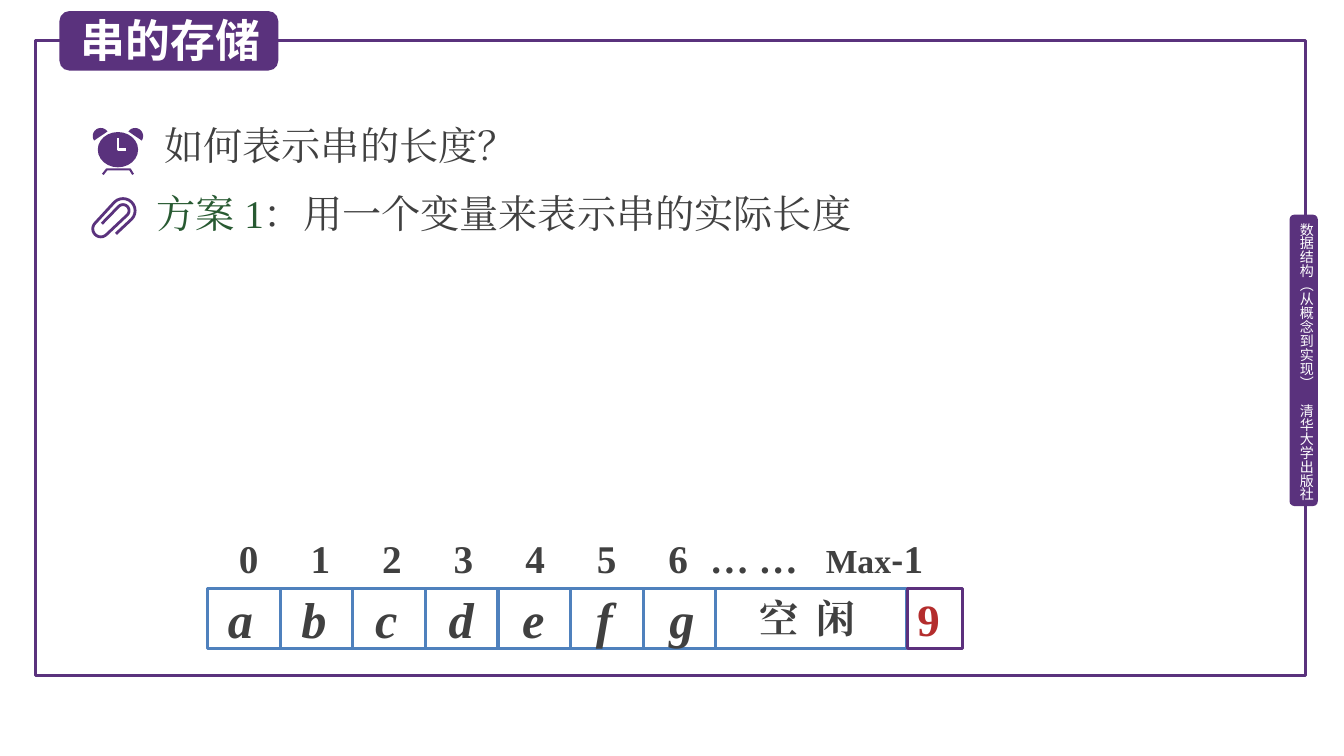
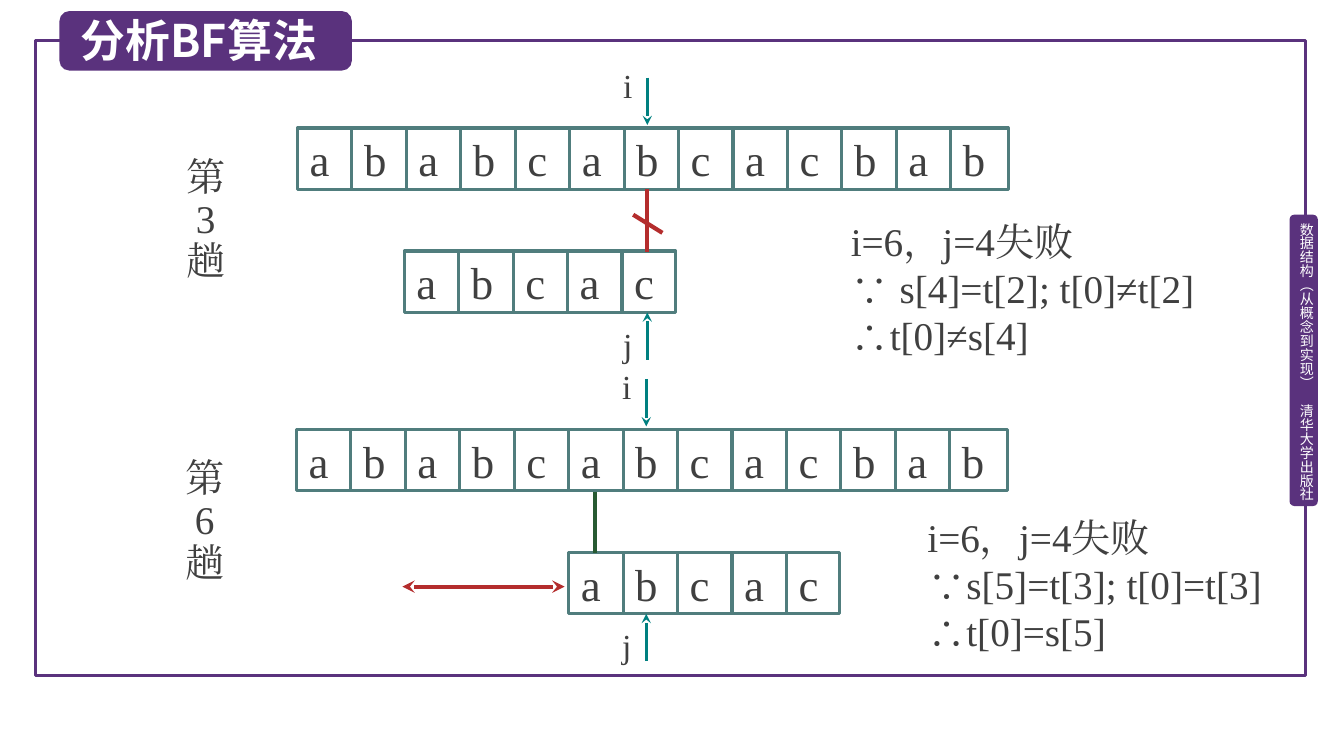
import math

from lxml import etree
from pptx import Presentation
from pptx.dml.color import RGBColor
from pptx.enum import shapes, text
from pptx.oxml import ns
from pptx.util import Inches, Pt

PURPLE, WHITE, GREY = "5A327D", "FFFFFF", "404040"
BLUE, SLATE, TEAL = "4F81BD", "507D7D", "008080"
RED, GREEN = "B42D2D", "285A32"
SANS, SERIF = "Noto Sans CJK SC", "Times New Roman"
LEFT, CENTER = text.PP_ALIGN.LEFT, text.PP_ALIGN.CENTER
TOP, MIDDLE = text.MSO_ANCHOR.TOP, text.MSO_ANCHOR.MIDDLE
TEXT_ROW = ["a", "b", "a", "b", "c", "a", "b", "c", "a", "c", "b", "a", "b"]
PATTERN_ROW = ["a", "b", "c", "a", "c"]


def paint(fill, color):
    """Solid fill from a hex string, or no fill for None."""
    if color is None:
        fill.background()
    else:
        fill.solid()
        fill.fore_color.rgb = RGBColor.from_string(color)


def place(shape, box):
    shape.left, shape.top, shape.width, shape.height = map(Inches, box)


def sub(parent, tag, **attributes):
    return etree.SubElement(parent, ns.qn(tag), **attributes)


def style(run, size, color=GREY, font=SERIF, bold=False, italic=False):
    run.font.size, run.font.name = Pt(size), font
    run.font.bold, run.font.italic = bold, italic
    paint(run.font.fill, color)
    latin = run.font.fill and run._r.rPr.find(ns.qn("a:latin"))
    east = etree.Element(ns.qn("a:ea"), typeface=font)
    latin.addnext(east)


def write(shape, content, size, insets=(0.1, 0.05, 0.1, 0.05), anchor=TOP,
          align=LEFT, wrap=True, tabs=(), spacing=None, **look):
    """Put content in a shape; tabs are stops in inches."""
    frame = shape.text_frame
    frame.word_wrap, frame.vertical_anchor = wrap, anchor
    frame.auto_size = text.MSO_AUTO_SIZE.NONE
    (frame.margin_left, frame.margin_top,
     frame.margin_right, frame.margin_bottom) = map(Inches, insets)
    frame.text = content
    for paragraph, element in zip(frame.paragraphs,
                                  shape.element.iter(ns.qn("a:p"))):
        if tabs:
            stops = sub(element.get_or_add_pPr(), "a:tabLst")
            for stop in tabs:
                sub(stops, "a:tab", pos=str(Inches(stop)), algn="l")
        paragraph.alignment = align
        if spacing:
            paragraph.line_spacing = spacing
        for run in paragraph.runs:
            style(run, size, **look)
    return frame


def note(slide, box, content, size, **options):
    shape = slide.shapes.add_textbox(*map(Inches, box))
    write(shape, content, size, **options)
    return shape


def finish(shape, fill=None, line=None, width=2.25):
    shape.shadow.inherit = False
    paint(shape.fill, fill)
    paint(shape.line.fill, line)
    if line:
        shape.line.width = Pt(width)
    return shape


def block(slide, box, fill=None, line=None, rounded=False):
    kinds = shapes.MSO_SHAPE
    kind = kinds.ROUNDED_RECTANGLE if rounded else kinds.RECTANGLE
    return finish(slide.shapes.add_shape(kind, *map(Inches, box)), fill, line)


def rule(slide, start, end, color, width=2.25, head=False, tail=False):
    line = slide.shapes.add_connector(
        shapes.MSO_CONNECTOR.STRAIGHT, *map(Inches, (*start, *end)))
    paint(line.line.fill, color)
    line.line.width = Pt(width)
    properties = line.element.find(ns.qn("p:spPr"))
    stroke = properties.find(ns.qn("a:ln"))
    for tag, wanted in (("a:headEnd", head), ("a:tailEnd", tail)):
        if wanted:
            sub(stroke, tag, type="stealth")
    sub(properties, "a:effectLst")


def outline(slide, points, closed=False, **look):
    corners = [(Inches(x), Inches(y)) for x, y in points]
    builder = slide.shapes.build_freeform(*corners[0], scale=1.0)
    builder.add_line_segments(corners[1:], close=closed)
    return finish(builder.convert_to_shape(), **look)


def half_circle(x, y, radius, start, turn):
    """Points of a half circle; turn is 1 clockwise, -1 the other way."""
    angles = [math.radians(start + turn * step) for step in range(0, 181, 15)]
    return [(x + radius * math.cos(a), y + radius * math.sin(a))
            for a in angles]


# ---- Shared parts ----
def dress_master(prs, slide):
    """Frame and side tab, built once and moved to the master."""
    frame = block(slide, (0.35, 0.4, 12.6, 6.3), line=PURPLE)
    tab = block(slide, (12.79, 2.13, 0.28, 2.89), fill=PURPLE, rounded=True)
    credit = note(slide, (12.87, 2.21, 0.17, 2.81),
                  "数据结构（从概念到实现）　清华大学出版社", 10,
                  insets=(0, 0, 0, 0), color=WHITE, font=SANS, wrap=False)
    credit.element.find(".//" + ns.qn("a:bodyPr")).set("vert", "eaVert")
    for part in (frame, tab, credit):
        prs.slide_master.shapes.element.append(part.element)


def heading(slide, content, width):
    """Title placeholder on a rounded band."""
    title = slide.shapes.title
    band = block(slide, (0.59, 0.11, width, 0.59), fill=PURPLE, rounded=True)
    title.element.addprevious(band.element)
    place(title, (0.7, 0.07, width - 0.08, 0.64))
    write(title, content, 32, anchor=MIDDLE, wrap=False,
          color=WHITE, font=SANS, bold=True)


def array(slide, left, top, width, height, letters, pitch, color, size,
          inset=0.12, tab_pitch=None, **look):
    """Framed row of cells: letters on tab stops, a divider per cell."""
    step = tab_pitch or pitch
    row = block(slide, (left, top, width, height), line=color)
    write(row, "\t".join(letters), size, insets=(inset, 0, 0, 0),
          anchor=MIDDLE, tabs=[step * n for n in range(1, len(letters))],
          **look)
    cells = round(width / pitch) if len(letters) * pitch > width - pitch \
        else len(letters) + 1
    for n in range(1, cells):
        x = left + pitch * n
        rule(slide, (x, top), (x, top + height), color)


# ---- Storage slide ----
def alarm_clock(slide, left, top):
    for x, start, turn in ((0.08, 146, 1), (0.42, 34, -1)):
        outline(slide, half_circle(left + x, top + 0.08, 0.08, start, turn),
                closed=True, fill=PURPLE)
    face = slide.shapes.add_shape(
        shapes.MSO_SHAPE.OVAL,
        *map(Inches, (left + 0.05, top + 0.04, 0.4, 0.35)))
    finish(face, fill=PURPLE)
    hands = [(0.25, 0.1), (0.25, 0.21), (0.33, 0.21)]
    feet = [(0.1, 0.46), (0.14, 0.41), (0.37, 0.41), (0.4, 0.46)]
    for points, color in ((hands, WHITE), (feet, PURPLE)):
        outline(slide, [(left + x, top + y) for x, y in points],
                line=color, width=2 if color == WHITE else 1.5)


def paper_clip(slide, left, top):
    wire = [(left + 0.25, top + 0.36)]
    for x, y, radius, start in ((0.32, 0.13, 0.12, 45),
                                (0.1, 0.31, 0.08, 225),
                                (0.32, 0.13, 0.06, 45)):
        wire += half_circle(left + x, top + y, radius, start, -1)
    wire.append((left + 0.11, top + 0.26))
    outline(slide, wire, line=PURPLE, width=2)


def question_list(slide, box):
    body = slide.placeholders[1]
    place(body, box)
    frame = write(body, "如何表示串的长度？\n方案 1", 28)
    question, plan = frame.paragraphs
    for element, indent in zip(body.element.iter(ns.qn("a:p")), (0.08, 0)):
        properties = element.get_or_add_pPr()
        properties.set("marL", str(Inches(indent)))
        properties.set("indent", "0")
        sub(properties, "a:buNone")
    question.space_before, plan.space_before = Pt(0), Pt(15)
    question.runs[0].font.name = SANS
    paint(plan.runs[0].font.fill, GREEN)
    answer = plan.add_run()
    answer.text = "：用一个变量来表示串的实际长度"
    style(answer, 28)


def stored_string(slide, left, top):
    """Index labels over the cells, then the free space and the length."""
    labels = note(slide, (left + 0.29, top - 0.55, 6.99, 0.47),
                  "\t".join([*"0123456", "… …", ""]), 28, bold=True,
                  insets=(0.02, 0.01, 0.02, 0.01),
                  tabs=[0.71 * n for n in range(1, 7)] + [4.67, 5.82])
    for part, size, font in (("Max", 24, SERIF), ("-", 24, SANS),
                             ("1", 28, SERIF)):
        run = labels.text_frame.paragraphs[0].add_run()
        run.text = part
        style(run, size, font=font, bold=True)
    array(slide, left, top, 6.93, 0.59, "abcdefg", 0.72, BLUE, 36,
          inset=0.2, tab_pitch=0.73, bold=True, italic=True)
    length = block(slide, (left + 6.94, top, 0.55, 0.59), line="5C307D")
    write(length, "9", 32, anchor=MIDDLE, color=RED, bold=True)
    note(slide, (left + 5.37, top + 0.02, 1.26, 0.51), "空\t闲", 28,
         insets=(0.1, 0.04, 0.1, 0), tabs=[0.57], bold=True)


# ---- Matching slide ----
def pointer(slide, x, start, end, name, label_top):
    rule(slide, (x, start), (x, end), TEAL, tail=True)
    note(slide, (x - 0.24, label_top, 0.25, 0.5), name, 24,
         insets=(0, 0.05, 0, 0.05))


def matching_round(slide, left, top, number, shift, conclusion, at):
    """One pass: text row, shifted pattern row, pointers and conclusion."""
    note(slide, (left - 1.2, top + 0.24, 0.58, 1.36), f"第\n{number}\n趟", 28,
         align=CENTER, spacing=0.9, insets=(0, 0.05, 0, 0.05))
    array(slide, left, top, 7.05, 0.61, TEXT_ROW, 0.54, SLATE, 32)
    array(slide, left + shift, top + 1.22, 2.69, 0.61, PATTERN_ROW, 0.54,
          SLATE, 32)
    pointer(slide, left + 3.47, top - 0.5, top - 0.03, "i", top - 0.68)
    pointer(slide, left + 3.47, top + 2.3, top + 1.83, "j", top + 1.89)
    note(slide, (left + at[0], top + at[1], 3.83, 1.51), conclusion, 28)


def main():
    prs = Presentation()
    prs.slide_width, prs.slide_height = Inches(13.33), Inches(7.5)

    storage = prs.slides.add_slide(prs.slide_layouts[1])
    dress_master(prs, storage)
    heading(storage, "串的存储", 2.17)
    question_list(storage, (1.45, 1.15, 8.47, 1.3))
    alarm_clock(storage, 0.92, 1.27)
    paper_clip(storage, 0.9, 1.96)
    stored_string(storage, 2.06, 5.84)

    matching = prs.slides.add_slide(prs.slide_layouts[5])
    heading(matching, "分析BF算法", 2.9)
    matching_round(matching, 2.95, 1.27, 3, 1.06,
                   "i=6，j=4失败\n∵ s[4]=t[2]; t[0]≠t[2]\n∴t[0]≠s[4]",
                   (5.39, 0.84))
    # Mismatch mark
    rule(matching, (6.42, 1.88), (6.42, 2.5), RED, 3)
    rule(matching, (6.28, 2.13), (6.57, 2.31), RED, 3)
    matching_round(matching, 2.94, 4.26, 6, 2.7,
                   "i=6，j=4失败\n∵s[5]=t[3]; t[0]=t[3]\n∴t[0]=s[5]",
                   (6.16, 0.78))
    # Match mark and shift of the pattern
    rule(matching, (5.9, 4.88), (5.9, 5.49), GREEN, 3)
    rule(matching, (3.99, 5.82), (5.6, 5.82), RED, 3, head=True, tail=True)

    prs.save("out.pptx")


if __name__ == "__main__":
    main()
